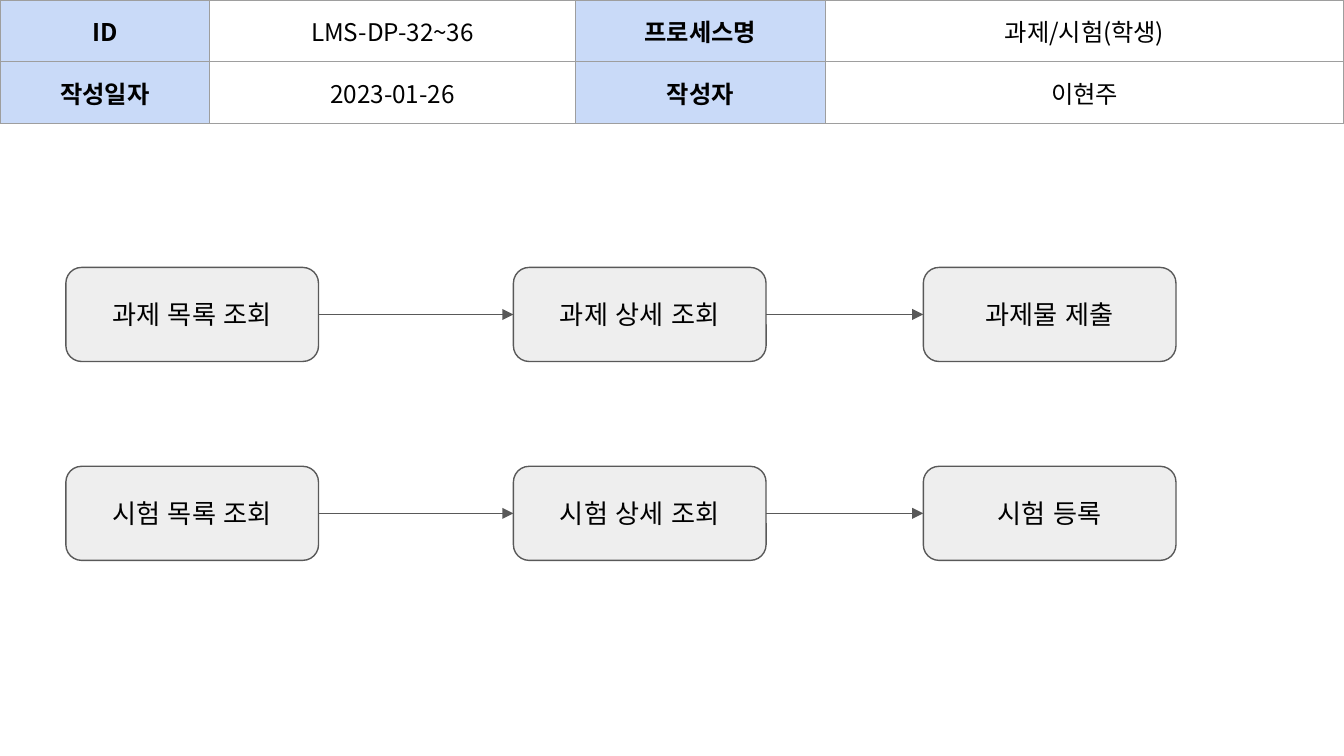
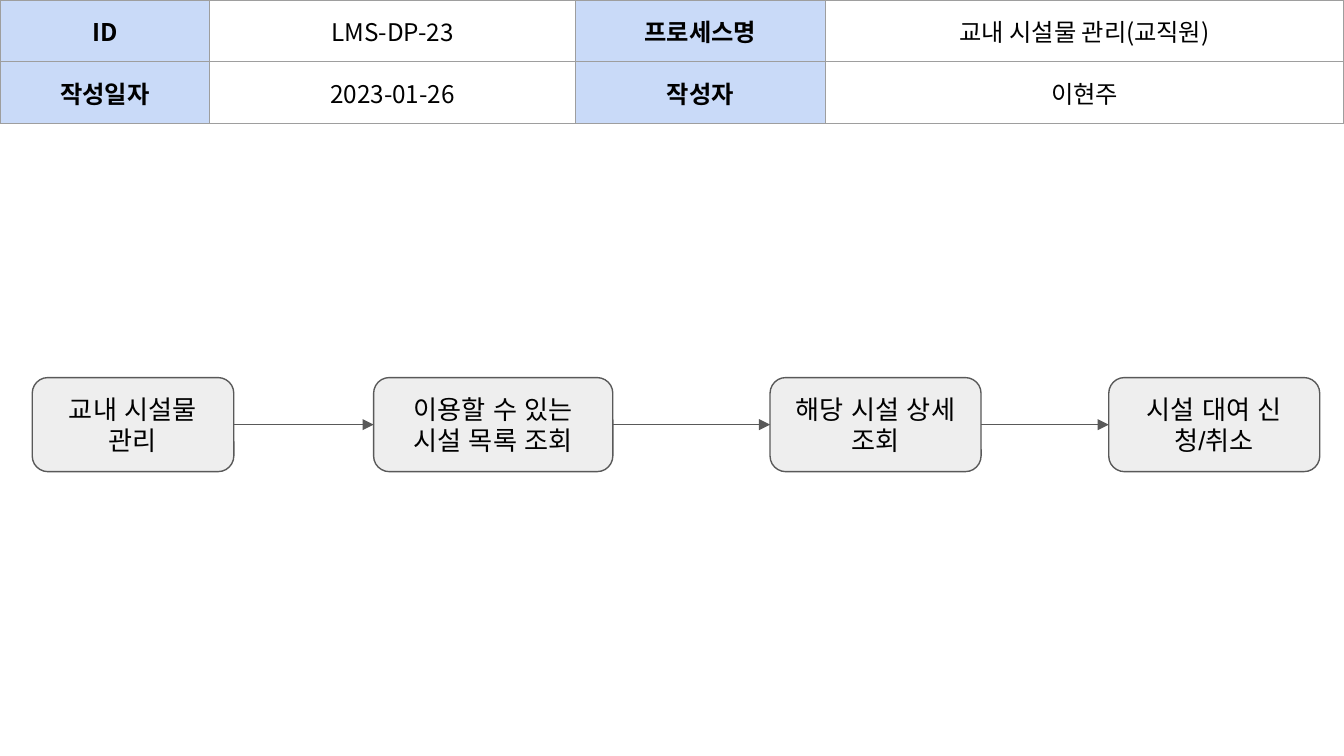
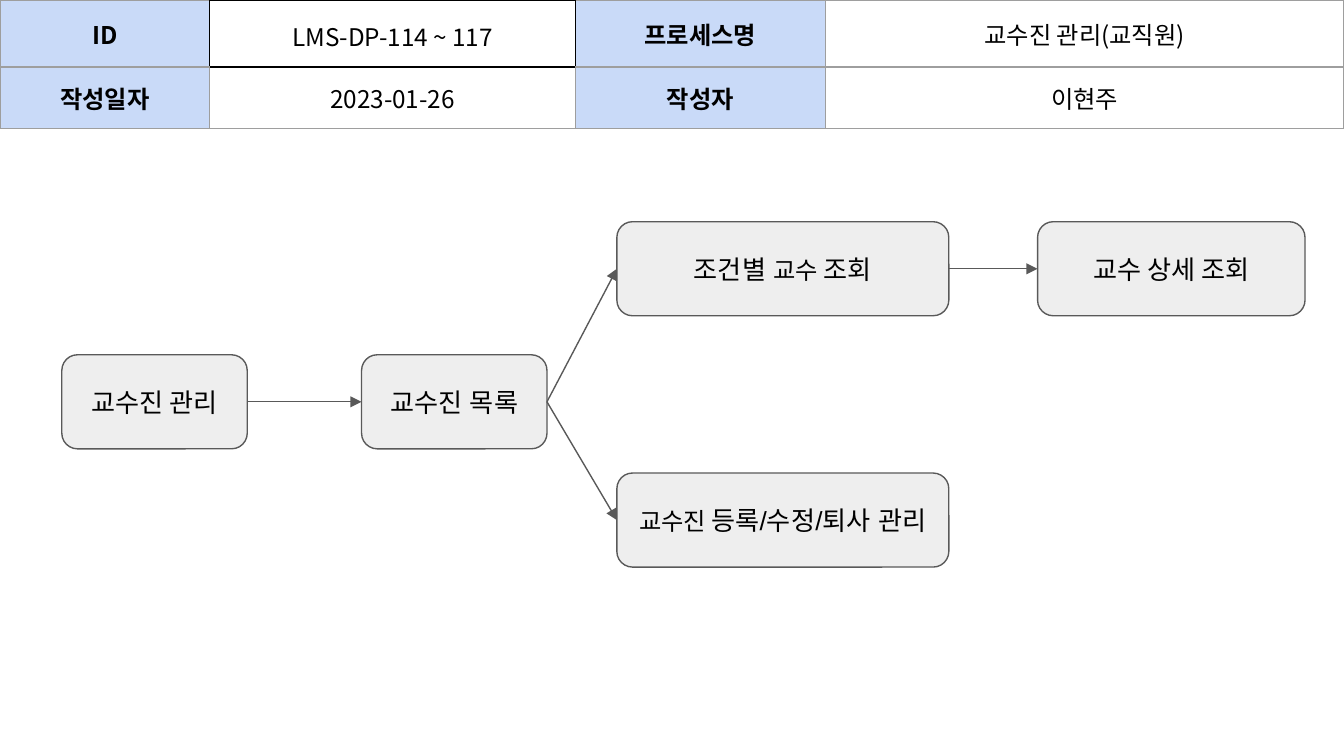
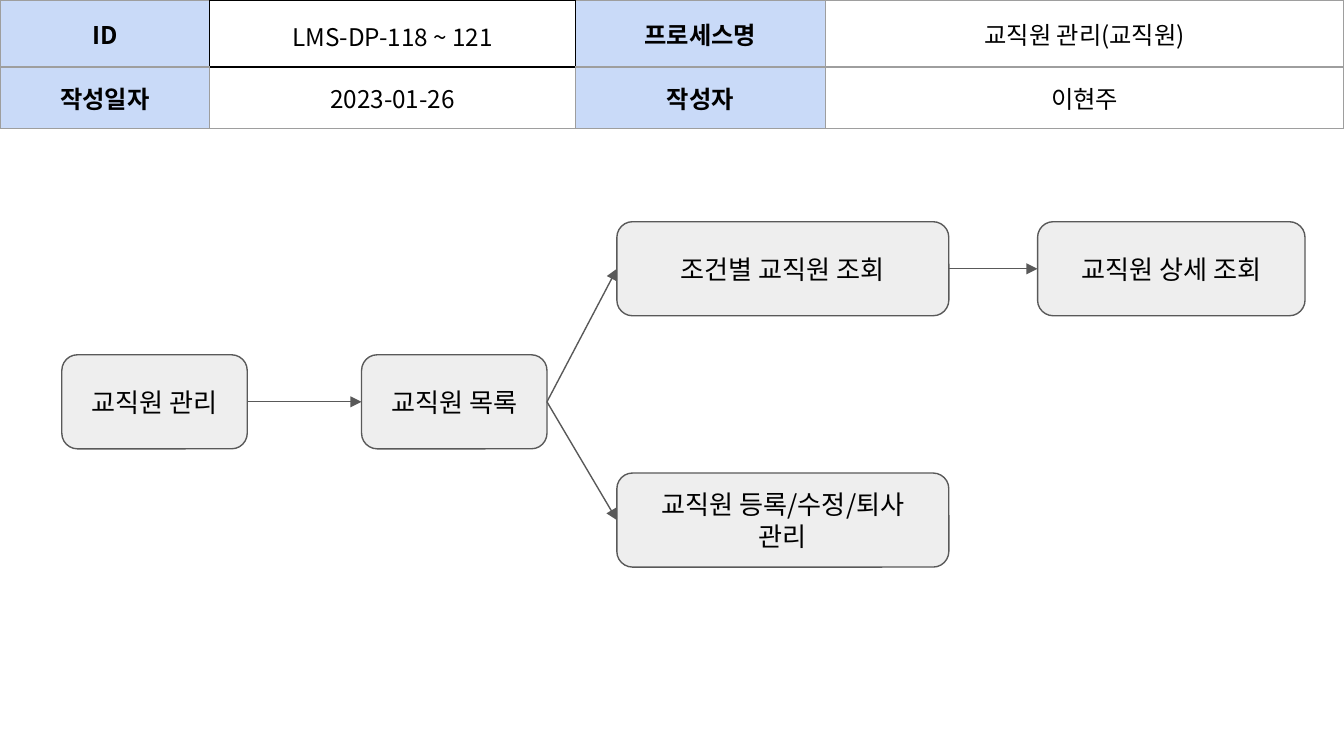
from lxml.etree import SubElement as Sub
from pptx import Presentation
from pptx.dml.color import RGBColor as RGB
from pptx.enum.shapes import MSO_CONNECTOR as LINK, MSO_SHAPE as FORM
from pptx.enum.text import MSO_ANCHOR as ANCHOR, PP_ALIGN as ALIGN
from pptx.oxml.ns import qn
from pptx.util import Inches, Pt

# Shared style
HUE = {"ink": "000000", "head": "C9DAF8", "white": "FFFFFF",
       "box": "EEEEEE", "edge": "595959", "rule": "9E9E9E"}
FACE = {"plain": {"name": "Arial", "size": Pt(14), "bold": False},
        "noto": {"name": "Noto Sans CJK KR", "size": Pt(14), "bold": False},
        "cell": {"name": "Noto Sans CJK KR", "size": Pt(13), "bold": False},
        "label": {"name": "Noto Sans CJK KR", "size": Pt(13), "bold": True}}
PAD = {f"margin_{side}": Inches(0.1) for side in ("left", "right", "top", "bottom")}
WIDE, HIGH = Inches(10), Inches(5.625)
COL, ROW = WIDE / 100, HIGH / 56.25  # square grid, 100 columns wide
TALL = 7  # rows in a box
SPLIT = [15.6, 27.2, 18.6, 9.1, 11.2, 18.3]  # columns of the head table
RISE = [4.2, 4.3]


def apply(item, values):
    for key, value in values.items():
        setattr(item, key, value)


def hue(name):
    return RGB.from_string(HUE[name])


class Deck:
    def __init__(self):
        self.file = Presentation()
        apply(self.file, {"slide_width": WIDE, "slide_height": HIGH})
        self.page = None

    def start(self):
        self.page = self.file.slides.add_slide(self.file.slide_layouts[6])

    def label(self, frame, runs, space=None):
        para = frame.paragraphs[0]
        para.alignment = ALIGN.CENTER
        if space:
            para.line_spacing = space
        for text, face in runs:
            run = para.add_run()
            run.text = text
            apply(run.font, FACE[face])
            run.font.color.rgb = hue("ink")
            for tag in ("a:ea", "a:cs"):
                Sub(run.font._element, qn(tag), typeface=FACE[face]["name"])

    def border(self, cell, dark=""):
        """Rule all four sides; the sides named in dark are black."""
        for side in "LRTB":
            name, size = ("ink", 0.68) if side in dark else ("rule", 0.75)
            line = Sub(cell._tc.get_or_add_tcPr(), qn("a:ln" + side), w=str(Pt(size)))
            fill = Sub(line, qn("a:solidFill"))
            Sub(fill, qn("a:srgbClr"), val=HUE[name])

    def head(self, code, name, framed=False):
        """Head table; framed puts a black rule around the code."""
        rows = [["ID", code, "프로세스명", name],
                ["작성일자", "2023-01-26", "작성자", "이현주"]]
        dark = {(0, 0): "R", (0, 1): "LRTB", (0, 2): "L", (1, 1): "T"} if framed else {}
        table = self.page.shapes.add_table(
            2, len(SPLIT), 0, 0, WIDE, int(sum(RISE) * ROW)).table
        apply(table, {"first_row": False, "horz_banding": False})
        for col, width in zip(table.columns, SPLIT):
            col.width = int(width * COL)
        for r, texts in enumerate(rows):
            table.rows[r].height = int(RISE[r] * ROW)
            for c in range(len(SPLIT)):
                cell = table.cell(r, c)
                special = framed and (r, c) == (0, 1)
                apply(cell, PAD)
                cell.vertical_anchor = ANCHOR.TOP if special else ANCHOR.MIDDLE
                self.border(cell, dark.get((r, c), ""))
                title = c in (0, 2)
                if title or special:
                    cell.fill.solid()
                    cell.fill.fore_color.rgb = hue("head" if title else "white")
                else:
                    cell.fill.background()
                if c < len(texts):
                    self.label(cell.text_frame, [(texts[c], "label" if title else "cell")],
                               1.15 if special else None)
            table.cell(r, 3).merge(table.cell(r, 5))

    def box(self, x, y, width, *runs):
        shape = self.page.shapes.add_shape(
            FORM.ROUNDED_RECTANGLE, int(x * COL), int(y * ROW),
            int(width * COL), int(TALL * ROW))
        shape.shadow.inherit = False
        shape.fill.solid()
        shape.fill.fore_color.rgb = hue("box")
        shape.line.color.rgb = hue("edge")
        shape.line.width = Pt(0.75)
        frame = shape.text_frame
        apply(frame, {**PAD, "word_wrap": True, "vertical_anchor": ANCHOR.MIDDLE})
        self.label(frame, runs)
        return shape

    def arrow(self, start, end):
        """Arrow from the right side of one box to the left side of another."""
        line = self.page.shapes.add_connector(LINK.STRAIGHT, 0, 0, 0, 0)
        line.begin_connect(start, 3)
        line.end_connect(end, 1)
        line.line.color.rgb = hue("edge")
        line.line.width = Pt(0.75)
        Sub(line.line._get_or_add_ln(), qn("a:tailEnd"), type="triangle")
        Sub(line._element.spPr, qn("a:effectLst"))

    def chain(self, boxes):
        for start, end in zip(boxes, boxes[1:]):
            self.arrow(start, end)

    def branch(self, root, items, found, change, detail):
        """Two steps that fork into a search path and an edit path."""
        first, second = (self.box(x, 26.4, 13.8, *runs)
                         for x, runs in ((4.6, root), (26.9, items)))
        top, low = (self.box(45.9, y, 24.7, *runs)
                    for y, runs in ((16.5, found), (35.2, change)))
        last = self.box(77.2, 16.5, 19.9, *detail)
        self.chain([first, second, top, last])
        self.arrow(second, low)


deck = Deck()

# Slide 1: assignments and exams
deck.start()
deck.head("LMS-DP-32~36", "과제/시험(학생)")
flows = [(19.9, ["과제 목록 조회", "과제 상세 조회", "과제물 제출"]),
         (34.7, ["시험 목록 조회", "시험 상세 조회", "시험 등록"])]
for y, texts in flows:
    deck.chain([deck.box(x, y, 18.8, (text, "plain"))
                for x, text in zip((4.9, 38.2, 68.7), texts)])

# Slide 2: campus facilities
deck.start()
deck.head("LMS-DP-23", "교내 시설물 관리(교직원)")
steps = [(2.4, 15, "교내 시설물 관리"),
         (27.8, 17.8, "이용할 수 있는 시설 목록 조회"),
         (57.3, 15.7, "해당 시설 상세 조회"),
         (82.5, 15.7, "시설 대여 신청/취소")]
deck.chain([deck.box(x, 28.1, width, (text, "plain")) for x, width, text in steps])

# Slide 3: professors
deck.start()
deck.head("LMS-DP-114 ~ 117", "교수진 관리(교직원)", framed=True)
deck.branch([("교수진 관리", "noto")],
            [("교수진 목록", "plain")],
            [("조건별 ", "plain"), ("교수 ", "cell"), ("조회", "plain")],
            [("교수진 ", "cell"), ("등록/수정/퇴사 관리", "plain")],
            [("교수 상세 조회", "noto")])

# Slide 4: staff
deck.start()
deck.head("LMS-DP-118 ~ 121", "교직원 관리(교직원)", framed=True)
deck.branch(*([(text, "noto")] for text in (
    "교직원 관리", "교직원 목록", "조건별 교직원 조회",
    "교직원 등록/수정/퇴사 관리", "교직원 상세 조회")))

deck.file.save("out.pptx")
